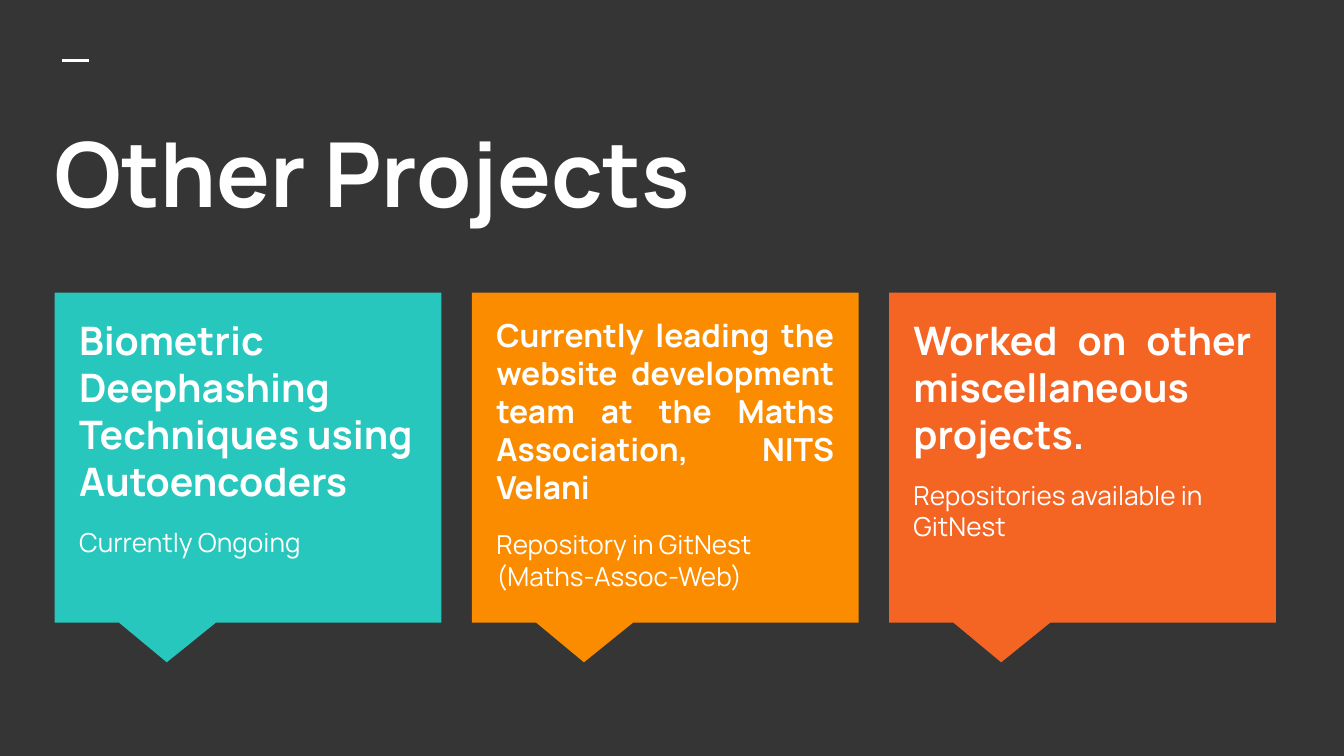
from lxml import etree
from pptx import Presentation
from pptx.dml.color import RGBColor
from pptx.enum.shapes import MSO_CONNECTOR, MSO_SHAPE
from pptx.enum.text import MSO_ANCHOR, PP_ALIGN
from pptx.oxml.ns import qn
from pptx.util import Pt

LINE = MSO_CONNECTOR.STRAIGHT
CALLOUT = MSO_SHAPE.RECTANGULAR_CALLOUT
TOP = MSO_ANCHOR.TOP
LEFT, JUST = PP_ALIGN.LEFT, PP_ALIGN.JUSTIFY
FONT = "Manrope"
INSET = 7.2
COLORS = {
    "back": "353535",
    "white": "FFFFFF",
    "teal": "27C7BD",
    "amber": "FB8C00",
    "orange": "F46524",
}
CARDS = [
    ("teal", "Biometric Deephashing Techniques using Autoencoders",
     21, LEFT, "Currently Ongoing"),
    ("amber", "Currently leading the website development team at the "
     "Maths Association, NITS Velani",
     17, JUST, "Repository in GitNest (Maths-Assoc-Web)"),
    ("orange", "Worked on other miscellaneous projects.",
     21, JUST, "Repositories available in GitNest"),
]


def color(name):
    return RGBColor.from_string(COLORS[name])


def add_box(slide, left, top, width, height):
    box = slide.shapes.add_textbox(Pt(left), Pt(top), Pt(width), Pt(height))
    frame = box.text_frame
    frame.word_wrap = True
    frame.vertical_anchor = TOP
    frame.margin_left = frame.margin_right = Pt(INSET)
    frame.margin_top = frame.margin_bottom = Pt(INSET)
    return frame


def add_text(para, text, size, bold=True, align=LEFT, gap=0):
    para.alignment = align
    para.space_before = para.space_after = Pt(gap)
    run = para.add_run()
    run.text = text
    font = run.font
    font.name, font.size, font.bold = FONT, Pt(size), bold
    font.color.rgb = color("white")


def add_dash(slide, left, top, width):
    dash = slide.shapes.add_connector(
        LINE, Pt(left), Pt(top), Pt(left + width), Pt(top))
    dash.line.color.rgb = color("white")
    dash.line.width = Pt(1.5)
    etree.SubElement(dash._element.spPr, qn("a:effectLst"))


def add_card(slide, left, fill, head, size, align, note):
    card = slide.shapes.add_shape(
        CALLOUT, Pt(left), Pt(156.8), Pt(207.2), Pt(176.8))
    card.adjustments[0] = -0.21
    card.adjustments[1] = 0.62
    card.fill.solid()
    card.fill.fore_color.rgb = color(fill)
    card.line.fill.background()
    card.shadow.inherit = False
    frame = add_box(slide, left + 6, 162, 195.2, 157.7)
    add_text(frame.paragraphs[0], head, size, align=align)
    add_text(frame.add_paragraph(), note, 14, bold=False, gap=12)


def main():
    deck = Presentation()
    deck.slide_width, deck.slide_height = Pt(720), Pt(405)
    slide = deck.slides.add_slide(deck.slide_layouts[6])
    slide.background.fill.solid()
    slide.background.fill.fore_color.rgb = color("back")
    add_dash(slide, 33.3, 32.5, 14.4)
    title = add_box(slide, 22.3, 56.2, 679, 80.6)
    add_text(title.paragraphs[0], "Other Projects", 48)
    for col, card in enumerate(CARDS):
        add_card(slide, 29.3 + col * 223.5, *card)
    deck.save("out.pptx")


if __name__ == "__main__":
    main()
